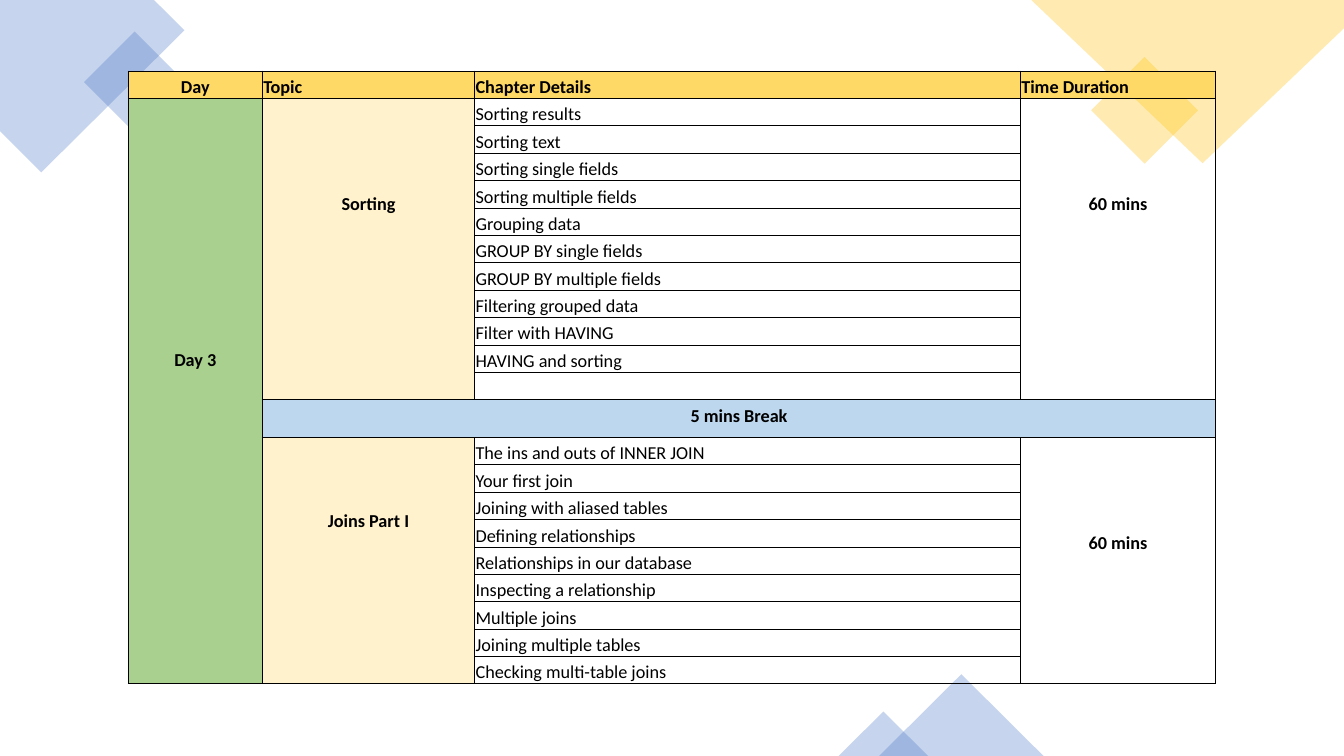
from pptx import Presentation
from pptx.dml.color import RGBColor
from pptx.enum.shapes import MSO_SHAPE
from pptx.enum.text import MSO_ANCHOR, PP_ALIGN
from pptx.oxml.ns import qn
from pptx.util import Pt
from lxml.etree import SubElement

BLUE = RGBColor(0x44, 0x72, 0xC4)
GOLD = RGBColor(0xFF, 0xC0, 0x00)
HEADER_GOLD = RGBColor(0xFF, 0xD9, 0x66)
DAY_GREEN = RGBColor(0xA9, 0xD0, 0x8E)
TOPIC_CREAM = RGBColor(0xFF, 0xF2, 0xCC)
BREAK_BLUE = RGBColor(0xBD, 0xD7, 0xEE)
BLACK = RGBColor(0, 0, 0)

FONT_SIZE = 13
LINE_HEIGHT = 15.87
ROW_HEIGHT = 19.58
BREAK_HEIGHT = 27
BREAK_ROW = 12
COLUMN_WIDTHS = [95.8, 151.7, 389.8, 139.5]
HEADERS = ["Day", "Topic", "Chapter Details", "Time Duration"]
SORTING_CHAPTERS = [
    "Sorting results", "Sorting text", "Sorting single fields",
    "Sorting multiple fields", "Grouping data", "GROUP BY single fields",
    "GROUP BY multiple fields", "Filtering grouped data",
    "Filter with HAVING", "HAVING and sorting",
]
JOIN_CHAPTERS = [
    "The ins and outs of INNER JOIN", "Your first join",
    "Joining with aliased tables", "Defining relationships",
    "Relationships in our database", "Inspecting a relationship",
    "Multiple joins", "Joining multiple tables", "Checking multi-table joins",
]


def tint(shape, color):
    shape.shadow.inherit = False
    shape.line.fill.background()
    shape.fill.solid()
    shape.fill.fore_color.rgb = color
    color_element = shape.fill._xPr.find(qn("a:solidFill"))[0]
    SubElement(color_element, qn("a:alpha"), val="30000")


def write(cell, text, bold, centered):
    cell.text_frame.text = text
    paragraph = cell.text_frame.paragraphs[0]
    paragraph.alignment = PP_ALIGN.CENTER if centered else PP_ALIGN.LEFT
    font = paragraph.runs[0].font
    font.name = "Calibri"
    font.size = Pt(FONT_SIZE)
    font.bold = bold
    font.color.rgb = BLACK


presentation = Presentation()
presentation.slide_width = Pt(960)
presentation.slide_height = Pt(540)
slide = presentation.slides.add_slide(presentation.slide_layouts[6])

corners = [
    ([(110, 0), (0, 0), (0, 93.6), (29.5, 123.1), (131.8, 21.6)], BLUE),
    ([(960, 0), (736.6, 0), (859, 116.6), (960, 20.2)], GOLD),
]
for points, color in corners:
    (start_x, start_y), *others = [(Pt(x), Pt(y)) for x, y in points]
    builder = slide.shapes.build_freeform(start_x, start_y)
    builder.add_line_segments(others, close=True)
    tint(builder.convert_to_shape(), color)

decorations = [
    (MSO_SHAPE.RECTANGLE, 70.6, 33.1, 51.1, 51.1, 315, BLUE),
    (MSO_SHAPE.RECTANGLE, 790.6, 51.8, 54, 54, 315, GOLD),
    (MSO_SHAPE.ISOSCELES_TRIANGLE, 628, 481.6, 117.4, 58.4, 0, BLUE),
    (MSO_SHAPE.ISOSCELES_TRIANGLE, 599, 508.3, 64, 31.7, 0, BLUE),
]
for kind, left, top, width, height, rotation, color in decorations:
    shape = slide.shapes.add_shape(kind, Pt(left), Pt(top), Pt(width), Pt(height))
    shape.rotation = rotation
    tint(shape, color)

row_heights = [ROW_HEIGHT] * 22
row_heights[BREAK_ROW] = BREAK_HEIGHT
table = slide.shapes.add_table(
    len(row_heights), len(COLUMN_WIDTHS), Pt(91.6), Pt(50.7),
    Pt(sum(COLUMN_WIDTHS)), Pt(sum(row_heights)),
).table
table.first_row = False
table.horz_banding = False
for column, width in zip(table.columns, COLUMN_WIDTHS):
    column.width = Pt(width)
for row, height in zip(table.rows, row_heights):
    row.height = Pt(height)

for cell in table.iter_cells():
    cell.margin_left = cell.margin_right = cell.margin_top = Pt(0.7)
    cell.margin_bottom = Pt(0)
    cell.vertical_anchor = MSO_ANCHOR.BOTTOM
    properties = cell._tc.get_or_add_tcPr()
    for side in ("lnL", "lnR", "lnT", "lnB"):
        border = SubElement(properties, qn(f"a:{side}"), w=str(Pt(0.5)))
        border_fill = SubElement(border, qn("a:solidFill"))
        SubElement(border_fill, qn("a:srgbClr"), val=str(BLACK))
    cell.fill.background()
    SubElement(cell.text_frame.paragraphs[0]._p, qn("a:endParaRPr"), sz=str(FONT_SIZE * 100))

for column, header in enumerate(HEADERS):
    cell = table.cell(0, column)
    write(cell, header, True, column == 0)
    cell.fill.solid()
    cell.fill.fore_color.rgb = HEADER_GOLD

for first_row, chapters in ((1, SORTING_CHAPTERS), (BREAK_ROW + 1, JOIN_CHAPTERS)):
    for row, chapter in enumerate(chapters, first_row):
        write(table.cell(row, 2), chapter, False, False)

merged_cells = [
    (1, 0, 21, 0, "Day 3", 11, DAY_GREEN),
    (1, 1, 11, 1, "Sorting", 4, TOPIC_CREAM),
    (1, 3, 11, 3, "60 mins", 4, None),
    (12, 1, 12, 3, "5 mins Break", 0, BREAK_BLUE),
    (13, 1, 21, 1, "Joins Part I", 3, TOPIC_CREAM),
    (13, 3, 21, 3, "60 mins", 4, None),
]
for top_row, left_column, bottom_row, right_column, text, lines_down, color in merged_cells:
    cell = table.cell(top_row, left_column)
    cell.merge(table.cell(bottom_row, right_column))
    write(cell, text, True, True)
    cell.vertical_anchor = MSO_ANCHOR.TOP
    cell.margin_left = cell.margin_right = Pt(8.6)
    cell.margin_top = Pt(4.3 + lines_down * LINE_HEIGHT)
    cell.margin_bottom = Pt(4.3)
    if color:
        cell.fill.solid()
        cell.fill.fore_color.rgb = color

presentation.save("out.pptx")
